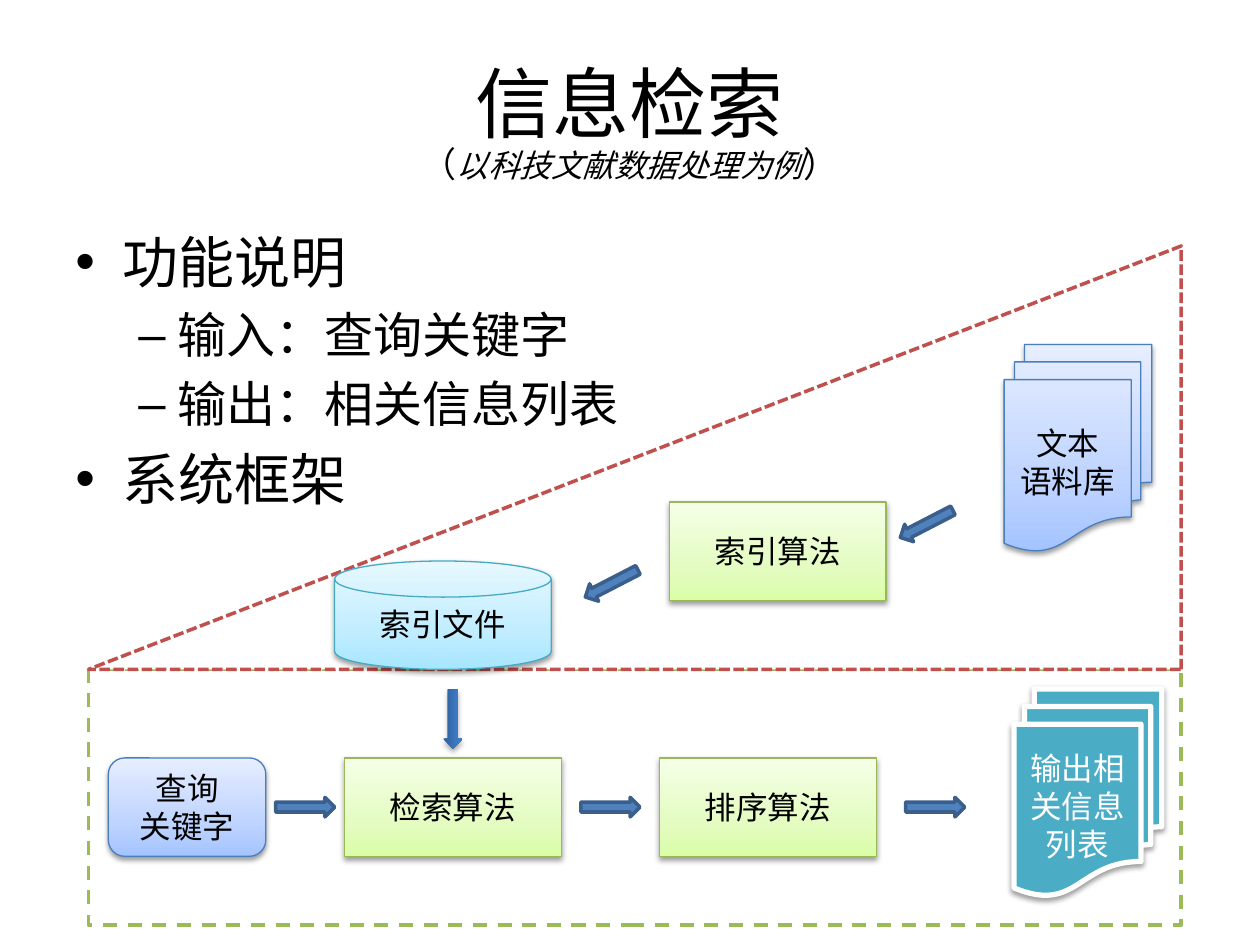
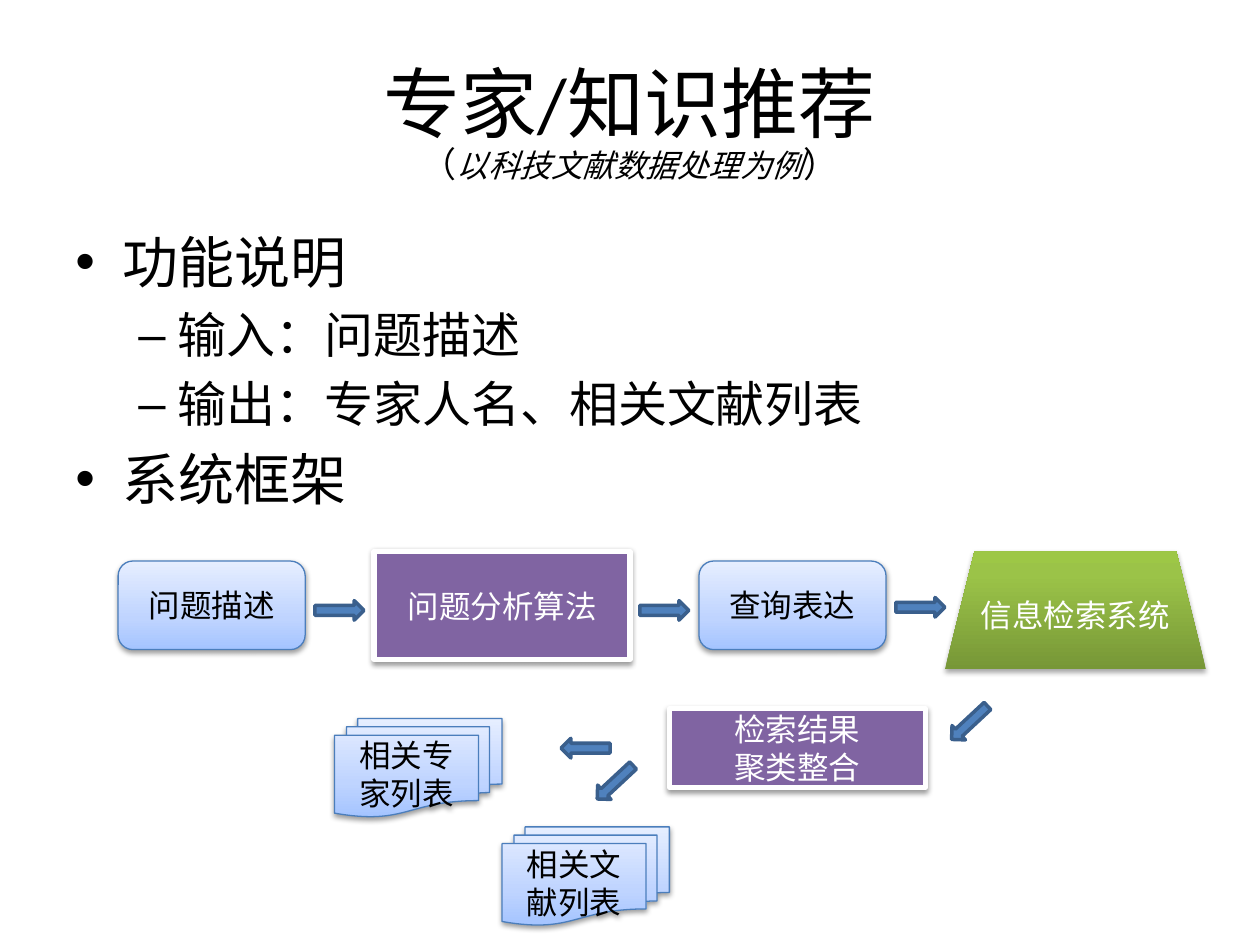
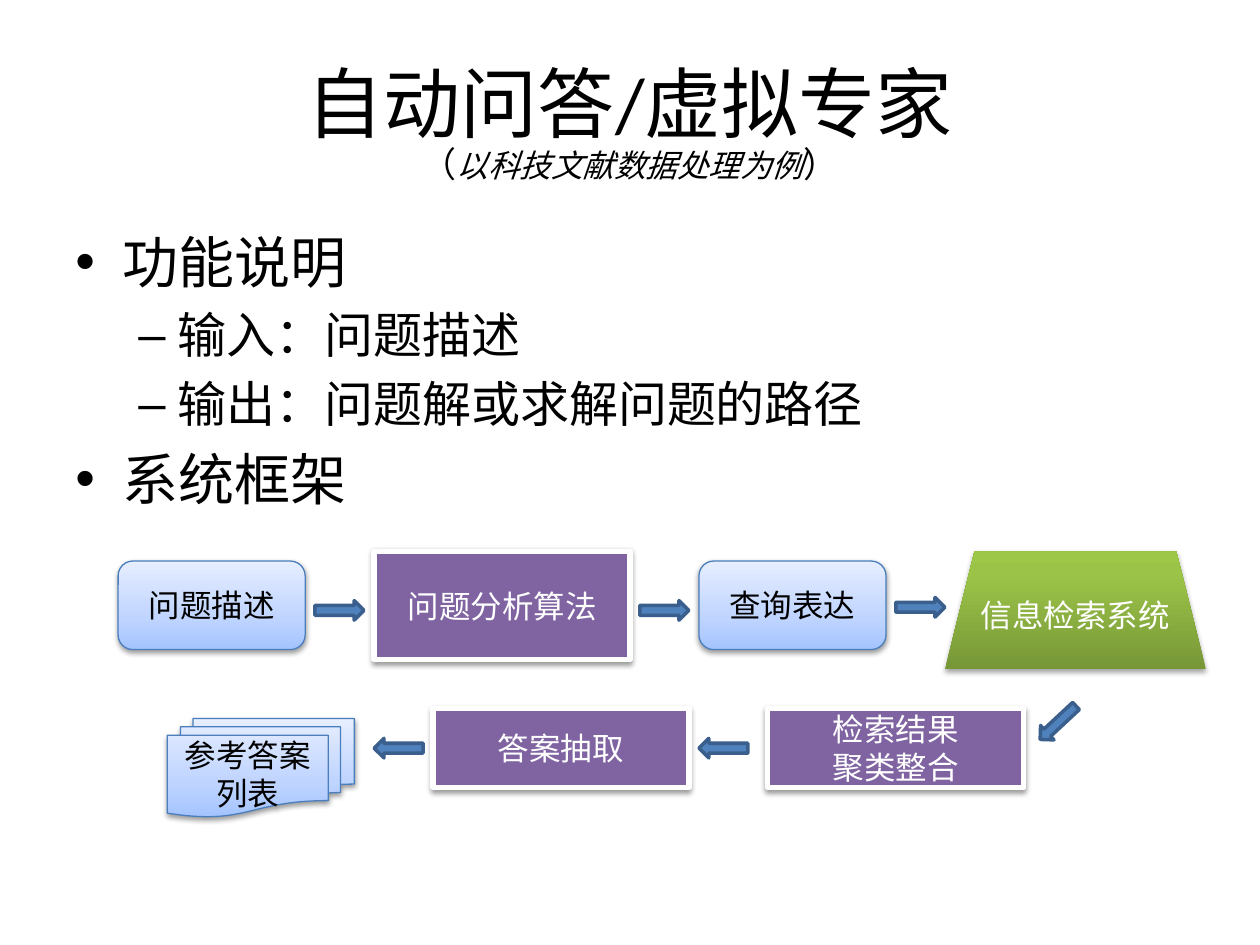
from lxml import etree
from pptx import Presentation
from pptx.dml.color import RGBColor
from pptx.enum import dml, shapes, text
from pptx.oxml.ns import qn
from pptx.util import Pt

LATIN, CJK = "Calibri", "Noto Sans CJK SC"
BLACK, WHITE = "000000", "FFFFFF"
G = shapes.MSO_SHAPE
DASH = dml.MSO_LINE

# fill: a colour or gradient stops from bottom to top; line: colour, width
# shadow: opacity %, distance
SOFT, DEEP = (38, 1.6), (35, 1.8)
BLUE = {"fill": [(0, "A4C4FF"), (35, "BFD4FF"), (100, "E6EEFF")],
        "line": ("4B7EBC", 0.75), "shadow": SOFT}
AQUA = {"fill": [(0, "A7E6FF"), (35, "C1EDFF"), (100, "E7F8FF")],
        "line": ("46AAC5", 0.75), "shadow": SOFT}
LIME = {"fill": [(0, "DAFDA7"), (35, "E4FCC2"), (100, "F5FFE7")],
        "line": ("98B955", 0.75), "shadow": SOFT}
PURPLE = {"fill": "8064A2", "line": (WHITE, 3), "shadow": SOFT, "color": WHITE}
TEAL = {"fill": "4BACC6", "line": (WHITE, 3), "shadow": SOFT, "color": WHITE}
GREEN = {"fill": [(0, "779737"), (80, "9BC348"), (100, "9DC746")],
         "shadow": DEEP, "color": WHITE}
ARROW = {"fill": "4F81BD", "line": ("3A5F8C", 2)}
ARROW_SHADED = {"fill": [(0, "2F5F99"), (80, "3D7CC7"), (100, "3A7CCB")],
                "shadow": DEEP}
QUERY_ZONE = {"fill": WHITE, "line": ("9BBB59", 2), "dash": DASH.DASH}
INDEX_ZONE = {"fill": WHITE, "line": ("C0504D", 2), "dash": DASH.SQUARE_DOT}

# size, left margin, bullet
LEVELS = [(32, 27, "•"), (28, 58.5, "–")]
HANGING = [-27, -22.5]


def rgb(value):
    return RGBColor.from_string(value)


def child(parent, tag, **attrs):
    """Append an XML element such as a:ea and return it."""
    el = etree.SubElement(parent, qn(tag))
    for key, value in attrs.items():
        el.set(key, str(value))
    return el


def set_all(obj, values):
    for key, value in values.items():
        setattr(obj, key, value)


class Deck:
    def __init__(self):
        self.prs = Presentation()
        set_all(self.prs, {"slide_width": Pt(720), "slide_height": Pt(540)})
        self.s = None

    def slide(self, title, bullets):
        self.s = self.prs.slides.add_slide(self.prs.slide_layouts[6])
        self.title(title)
        self.body(bullets)

    def text_box(self, x, y, w, h, anchor):
        tf = self.s.shapes.add_textbox(Pt(x), Pt(y), Pt(w), Pt(h)).text_frame
        set_all(tf, {"word_wrap": True, "vertical_anchor": anchor})
        return tf

    def paragraph(self, tf, first, **fmt):
        p = tf.paragraphs[0] if first else tf.add_paragraph()
        set_all(p, fmt)
        return p

    def run(self, p, words, size, color=BLACK, name=CJK, italic=False):
        r = p.add_run()
        r.text = words
        set_all(r.font, {"size": Pt(size), "name": name, "italic": italic})
        r.font.color.rgb = rgb(color)
        child(r.font._element, "a:ea", typeface=CJK)

    def title(self, words):
        tf = self.text_box(36, 21.6, 648, 90, text.MSO_ANCHOR.MIDDLE)
        center = text.PP_ALIGN.CENTER
        p = self.paragraph(tf, True, alignment=center, line_spacing=Pt(57))
        self.run(p, words, 44, name=LATIN)
        p = self.paragraph(tf, False, alignment=center, line_spacing=Pt(21))
        self.run(p, "（", 20, name=LATIN)
        self.run(p, "以科技文献数据处理为例", 18, name=LATIN, italic=True)
        self.run(p, "）", 20, name=LATIN)

    def body(self, bullets):
        tf = self.text_box(36, 126, 648, 194, text.MSO_ANCHOR.TOP)
        for i, (level, words) in enumerate(bullets):
            size, margin, bullet = LEVELS[level]
            p = self.paragraph(tf, i == 0, level=level,
                               line_spacing=Pt(1.21 * size),
                               space_before=Pt(0.2 * size if i else 2))
            pPr = p._p.get_or_add_pPr()
            pPr.set("marL", str(Pt(margin)))
            pPr.set("indent", str(Pt(HANGING[level])))
            child(pPr, "a:buFont", typeface="Arial")
            child(pPr, "a:buChar", char=bullet)
            self.run(p, words, size)

    def paint(self, sp, style):
        fill, line = style["fill"], style.get("line")
        if isinstance(fill, str):
            sp.fill.solid()
            sp.fill.fore_color.rgb = rgb(fill)
        else:
            sp.fill.gradient()
            sp.fill.gradient_angle = 90
            stops = sp._element.spPr.find(".//" + qn("a:gsLst"))
            for old in list(stops):
                stops.remove(old)
            for pos, color in fill:
                gs = child(stops, "a:gs", pos=pos * 1000)
                child(gs, "a:srgbClr", val=color)
        if line:
            sp.line.color.rgb = rgb(line[0])
            sp.line.width = Pt(line[1])
            if "dash" in style:
                sp.line.dash_style = style["dash"]
        else:
            sp.line.fill.background()
        sp.shadow.inherit = False
        if "shadow" in style:
            opacity, dist = style["shadow"]
            effects = sp._element.spPr.find(qn("a:effectLst"))
            shadow = child(effects, "a:outerShdw", blurRad=Pt(3.1), dist=Pt(dist),
                           dir=90 * 60000, rotWithShape=0)
            color = child(shadow, "a:srgbClr", val=BLACK)
            child(color, "a:alpha", val=opacity * 1000)

    def shape(self, kind, x, y, w, h, style, *lines):
        sp = self.s.shapes.add_shape(kind, Pt(x), Pt(y), Pt(w), Pt(h))
        self.paint(sp, style)
        tf = sp.text_frame
        set_all(tf, {"word_wrap": True, "vertical_anchor": text.MSO_ANCHOR.MIDDLE})
        for i, words in enumerate(lines):
            p = self.paragraph(tf, i == 0, alignment=text.PP_ALIGN.CENTER,
                               line_spacing=Pt(21.7))
            self.run(p, words, 18, style.get("color", BLACK))
        return sp

    def arrow(self, x, y, length=28, rotation=0, style=ARROW):
        """Draw a block arrow; x, y is its unrotated left end on the axis."""
        sp = self.shape(G.RIGHT_ARROW, x, y - 5.6, length, 11.2, style)
        sp.rotation = rotation


def bullets(source, result):
    return [(0, "功能说明"), (1, "输入：" + source), (1, "输出：" + result),
            (0, "系统框架")]


def retrieval(d):
    d.slide("信息检索", bullets("查询关键字", "相关信息列表"))
    d.shape(G.RECTANGLE, 50.6, 382.5, 624.4, 146.2, QUERY_ZONE)
    zone = d.shape(G.RIGHT_TRIANGLE, 50.6, 140.6, 624.4, 241.9, INDEX_ZONE)
    zone._element.spPr.find(qn("a:xfrm")).set("flipH", "1")

    d.shape(G.ROUNDED_RECTANGLE, 61.9, 433.1, 90, 56.2, BLUE, "查询", "关键字")
    d.shape(G.FLOWCHART_MAGNETIC_DISK, 191.2, 320.6, 123.8, 61.9, AQUA, "索引文件")
    for x, y, words in [(196.9, 433.1, "检索算法"), (376.9, 433.1, "排序算法"),
                        (382.5, 286.9, "索引算法")]:
        d.shape(G.RECTANGLE, x, y, 123.8, 56.2, LIME, words)
    for x, y, style, lines in [(579.4, 393.8, TEAL, ["输出相关信息列表"]),
                               (573.8, 196.9, BLUE, ["文本", "语料库"])]:
        d.shape(G.FLOWCHART_MULTIDOCUMENT, x, y, 84.4, 118.1, style, *lines)

    for x in (157.5, 331.9, 517.5):
        d.arrow(x, 461.2, 33.8)
    for x, y in [(332.6, 333.4), (512.6, 299.4)]:
        d.arrow(x, y, 33.8, 152.7)
    d.arrow(241.9, 410.9, 33.8, 90, ARROW_SHADED)


def question_row(d):
    """Draw the row from the question to the retrieval system."""
    for x, words in [(67.5, "问题描述"), (399.4, "查询表达")]:
        d.shape(G.ROUNDED_RECTANGLE, x, 320.6, 106.9, 50.6, BLUE, words)
    d.shape(G.RECTANGLE, 213.8, 315, 146.2, 61.9, PURPLE, "问题分析算法")
    d.shape(G.TRAPEZOID, 540, 315, 149.1, 67.5, GREEN, "信息检索系统")
    for x, y in [(180, 348.8), (365.6, 348.8), (511.9, 347)]:
        d.arrow(x, y)


def result_step(d, x, *lines):
    d.shape(G.RECTANGLE, x, 405, 146.2, 45, PURPLE, *lines)


def result_list(d, x, y, w, *lines):
    d.shape(G.FLOWCHART_MULTIDOCUMENT, x, y, w, 56.2, BLUE, *lines)


def recommendation(d):
    d.slide("专家/知识推荐", bullets("问题描述", "专家人名、相关文献列表"))
    question_row(d)
    result_step(d, 382.5, "检索结果", "聚类整合")
    result_list(d, 191.2, 410.6, 95.6, "相关专家列表")
    result_list(d, 286.9, 472.5, 95.6, "相关文献列表")
    d.arrow(320.6, 427.5, rotation=180)
    d.arrow(540, 413, rotation=137)
    d.arrow(337.5, 447, rotation=137)


def answering(d):
    d.slide("自动问答/虚拟专家", bullets("问题描述", "问题解或求解问题的路径"))
    question_row(d)
    result_step(d, 438.8, "检索结果", "聚类整合")
    result_step(d, 247.5, "答案抽取")
    result_list(d, 95.6, 410.6, 106.9, "参考答案", "列表")
    for x in (399.4, 213.8):
        d.arrow(x, 427.5, rotation=180)
    d.arrow(590.6, 413, rotation=137)


def main():
    d = Deck()
    for build in (retrieval, recommendation, answering):
        build(d)
    d.prs.save("out.pptx")


if __name__ == "__main__":
    main()
